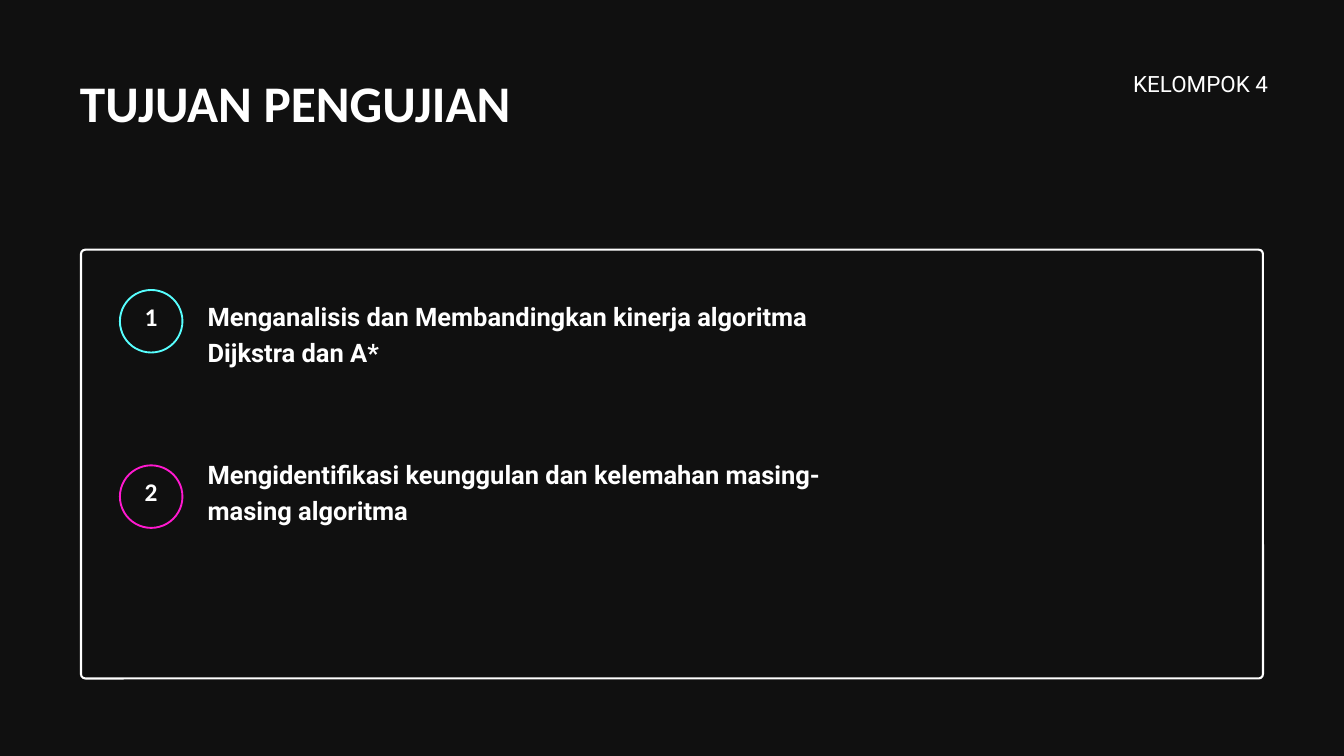
import pptx
import pptx.util
import pptx.dml.color
import pptx.enum.shapes
import pptx.enum.text

Pt = pptx.util.Pt
SHAPE = pptx.enum.shapes.MSO_SHAPE
ALIGN = pptx.enum.text.PP_ALIGN

BACKGROUND = "101010"
WHITE = "FFFFFF"
RING_CENTER_X = 162
RING_DIAMETER = 67
GOALS = [
    ("1", "Menganalisis dan Membandingkan kinerja algoritma Dijkstra dan A*",
     "57FFFF", 344.2, 317.5),
    ("2", "Mengidentifikasi keunggulan dan kelemahan masing-masing algoritma",
     "FF19CF", 532.1, 486.7),
]


def color(hex_string):
    return pptx.dml.color.RGBColor.from_string(hex_string)


def add_outline(slide, kind, left, top, width, height, line_color, line_width):
    shape = slide.shapes.add_shape(kind, Pt(left), Pt(top), Pt(width), Pt(height))
    shape.shadow.inherit = False
    shape.fill.background()
    shape.line.color.rgb = color(line_color)
    shape.line.width = Pt(line_width)
    return shape


def add_text(slide, text, left, top, width, height, font, size, spacing,
             bold=True, alignment=ALIGN.LEFT):
    box = slide.shapes.add_textbox(Pt(left), Pt(top), Pt(width), Pt(height))
    frame = box.text_frame
    frame.word_wrap = True
    frame.margin_left = frame.margin_right = 0
    frame.margin_top = frame.margin_bottom = 0
    paragraph = frame.paragraphs[0]
    paragraph.alignment = alignment
    paragraph.line_spacing = Pt(spacing)
    run = paragraph.add_run()
    run.text = text
    run.font.name = font
    run.font.size = Pt(size)
    run.font.bold = bold
    run.font.color.rgb = color(WHITE)


def add_frame(slide):
    frame = add_outline(slide, SHAPE.ROUNDED_RECTANGLE, 86.8, 267.5, 1266.4, 459.4,
                        WHITE, 2.25)
    frame.adjustments[0] = 0.01


def add_goal(slide, number, text, ring_color, center_y, text_top):
    radius = RING_DIAMETER / 2
    add_outline(slide, SHAPE.OVAL, RING_CENTER_X - radius, center_y - radius,
                RING_DIAMETER, RING_DIAMETER, ring_color, 2)
    add_text(slide, number, RING_CENTER_X - 13, center_y - 15.2, 26, 31.7,
             "Calibri", 27.2, 26.1, alignment=ALIGN.CENTER)
    add_text(slide, text, 222.5, text_top, 681, 81.4, "Roboto", 27.3, 38.2)


def main():
    presentation = pptx.Presentation()
    presentation.slide_width = Pt(1440)
    presentation.slide_height = Pt(810)
    slide = presentation.slides.add_slide(presentation.slide_layouts[6])
    slide.background.fill.solid()
    slide.background.fill.fore_color.rgb = color(BACKGROUND)

    add_frame(slide)
    for goal in GOALS:
        add_goal(slide, *goal)
    add_text(slide, "TUJUAN PENGUJIAN", 85.7, 81.4, 542, 127.4, "Calibri", 55, 60.5)
    add_text(slide, "KELOMPOK 4", 1049, 74.9, 309.6, 34.6, "Roboto", 24, 28.8,
             bold=False, alignment=ALIGN.RIGHT)
    presentation.save("out.pptx")


if __name__ == "__main__":
    main()
